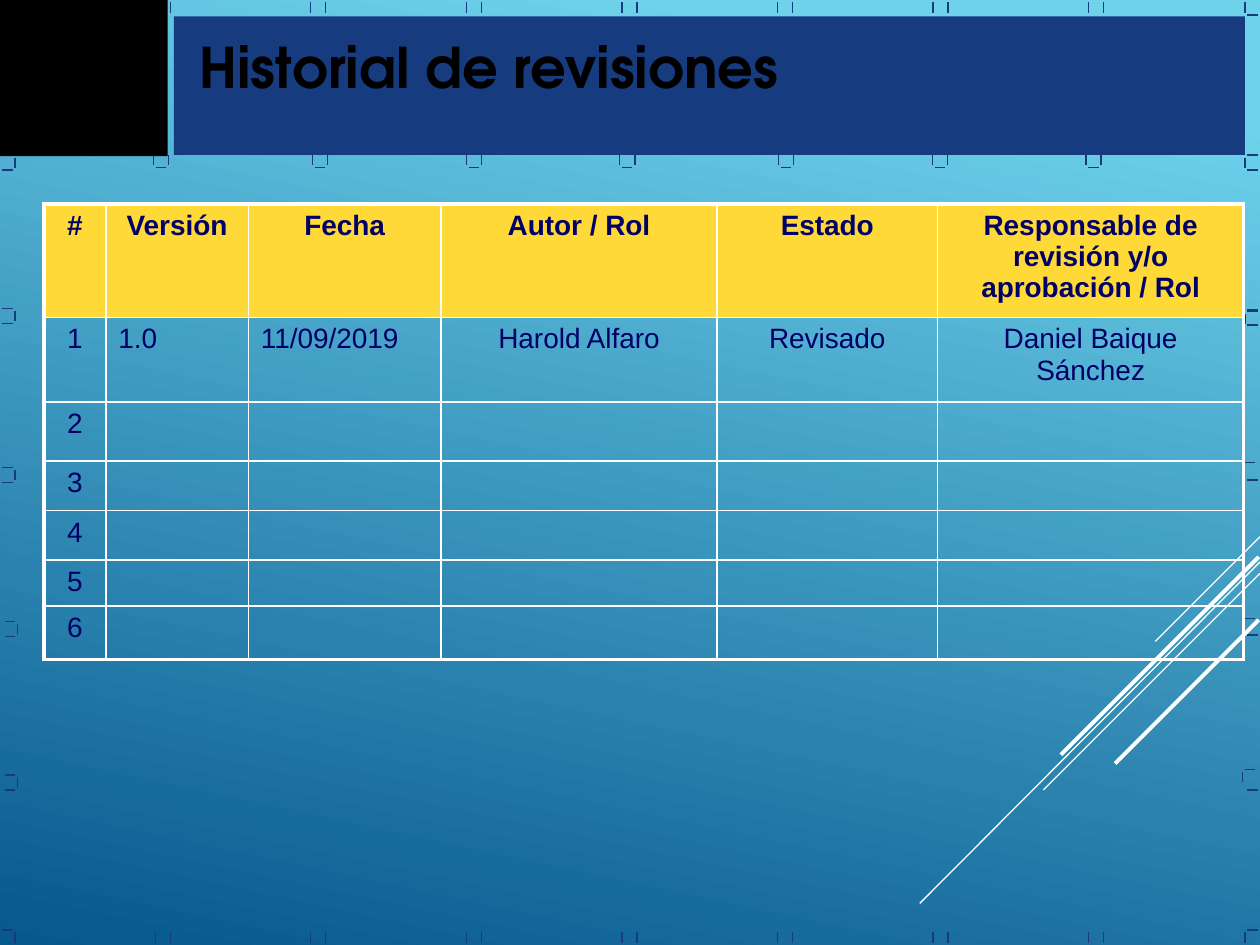
from typing import Iterator, NamedTuple

from lxml import etree
from pptx import Presentation
from pptx import util as u
from pptx.dml.color import RGBColor
from pptx.enum import shapes, text
from pptx.oxml import ns

Pt = u.Pt
NAVY = RGBColor(0x16, 0x3B, 0x7F)
INK = RGBColor(0x00, 0x00, 0x66)
GOLD = RGBColor(0xFF, 0xD9, 0x37)
WHITE = RGBColor(0xFF, 0xFF, 0xFF)
BLACK = RGBColor(0x00, 0x00, 0x00)
SKY = RGBColor(0x6E, 0xD2, 0xEB)
DEEP_BLUE = RGBColor(0x06, 0x58, 0x8E)

TICK = 5.8       # length of a border tick
GAP = 1.4        # space between a tick and the corner of its bracket
SPAN = 2 * GAP + TICK
TOP_Y, BOTTOM_Y = 1.4, 532.8
RIGHT_X = 711.4
FIRST_X, STEP_X = 88.7, 88.9


class Line(NamedTuple):
    x1: float
    y1: float
    x2: float
    y2: float
    color: RGBColor = NAVY
    width: float = 0.75


class Box(NamedTuple):
    left: float
    top: float
    width: float
    height: float
    color: RGBColor


class Column(NamedTuple):
    heading: str
    width: float
    entry: str
    align: text.PP_ALIGN = text.PP_ALIGN.CENTER


RAYS = [
    Line(720, 306.7, 660.2, 366.5, WHITE),
    Line(720, 321.1, 525.6, 516.2, WHITE),
    Line(720, 327.6, 596.2, 451.4, WHITE),
    Line(719.3, 318.2, 606.2, 431.3, WHITE, 2.25),
    Line(719.3, 354.2, 637.2, 436.3, WHITE, 2.25),
]
BANNER = Box(99.4, 9.4, 612, 79.2, NAVY)
CORNER = Box(0, -0.7, 95.8, 90, BLACK)

UNDER_BANNER_X = [87.8, 178.6, 266.4, 354.2, 445, 532.8, 620.6]
LEFT_BRACKETS = [(8.6, 88.6), (8.6, 176.4), (8.6, 267.1), (10.1, 355), (10.1, 442.8)]
RIGHT_BRACKETS = [(711.4, 88.6), (711.4, 177.8), (709.9, 264.2),
                  (709.9, 353.5), (709.9, 439.9)]
RIGHT_DASHES_Y = [8.6, 97.2, 177.1, 185.8, 274.3, 362.9, 451.4, 531.4]

COLUMNS = [
    Column("#", 35.3, "1"),
    Column("Versión", 81.4, "1.0", text.PP_ALIGN.LEFT),
    Column("Fecha", 110.2, "11/09/2019", text.PP_ALIGN.LEFT),
    Column("Autor / Rol", 157.7, "Harold Alfaro"),
    Column("Estado", 126, "Revisado"),
    Column("Responsable de revisión y/o aprobación / Rol", 175,
           "Daniel Baique Sánchez"),
]
ROW_HEIGHTS = [64.6, 48.4, 33.8, 28.3, 28.1, 26.5, 30.4]


def upright(x: float, y: float) -> Line:
    return Line(x, y + TICK, x, y)


def dash(x: float, y: float) -> Line:
    return Line(x, y, x + TICK, y)


def border_ticks() -> Iterator[Line]:
    """Yield the ticks and brackets along the slide edges and the banner."""
    for index in range(7):
        x = FIRST_X + STEP_X * index
        if index:
            yield upright(x, TOP_Y)
        yield upright(x + SPAN, TOP_Y)
        yield upright(x, BOTTOM_Y)
        yield upright(x + SPAN, BOTTOM_Y)
    for y in (TOP_Y, BOTTOM_Y):
        yield upright(RIGHT_X, y)
    for x in UNDER_BANNER_X:
        yield upright(x, 88.6)
        yield upright(x + SPAN, 88.6)
        yield dash(x + GAP, 95.8)
    for x, y in LEFT_BRACKETS:
        yield upright(x, y + GAP)
        yield dash(x - GAP - TICK, y)
        yield dash(x - GAP - TICK, y + SPAN)
    yield upright(8.6, BOTTOM_Y)
    yield dash(1.4, 531.4)
    for x, y in RIGHT_BRACKETS:
        yield upright(x, y + GAP)
        yield dash(x + GAP, y)
    for y in RIGHT_DASHES_Y:
        yield dash(RIGHT_X + GAP, y)


def draw_line(slide, line: Line) -> None:
    connector = slide.shapes.add_connector(
        shapes.MSO_CONNECTOR.STRAIGHT,
        Pt(line.x1), Pt(line.y1), Pt(line.x2), Pt(line.y2))
    connector.line.color.rgb = line.color
    connector.line.width = Pt(line.width)
    properties = connector.element.find(ns.qn("p:spPr"))
    etree.SubElement(properties, ns.qn("a:effectLst"))


def draw_box(slide, box: Box) -> None:
    shape = slide.shapes.add_shape(
        shapes.MSO_SHAPE.RECTANGLE,
        Pt(box.left), Pt(box.top), Pt(box.width), Pt(box.height))
    shape.shadow.inherit = False
    shape.fill.solid()
    shape.fill.fore_color.rgb = box.color
    shape.line.fill.background()


def paint_background(slide) -> None:
    fill = slide.background.fill
    fill.gradient()
    fill.gradient_angle = 258
    for stop, color, position in zip(fill.gradient_stops, (SKY, DEEP_BLUE), (0.1, 1)):
        stop.color.rgb = color
        stop.position = position


def set_borders(cell, widths: dict[str, float]) -> None:
    properties = cell._tc.get_or_add_tcPr()
    for side, width in widths.items():
        line = etree.SubElement(properties, ns.qn(f"a:ln{side}"), w=str(Pt(width)))
        fill = etree.SubElement(line, ns.qn("a:solidFill"))
        etree.SubElement(fill, ns.qn("a:srgbClr"), val=str(WHITE))


def format_cell(cell, content: str, align: text.PP_ALIGN, heading: bool) -> None:
    cell.text = content
    para = cell.text_frame.paragraphs[0]
    para.alignment = align
    para.font.name = "Arial"
    para.font.size = Pt(16)
    para.font.bold = heading
    para.font.color.rgb = INK
    if heading:
        cell.fill.solid()
        cell.fill.fore_color.rgb = GOLD
    else:
        cell.fill.background()


def draw_table(slide) -> None:
    last_row, last_column = len(ROW_HEIGHTS) - 1, len(COLUMNS) - 1
    table = slide.shapes.add_table(
        len(ROW_HEIGHTS), len(COLUMNS), Pt(25.2), Pt(116.6),
        Pt(sum(column.width for column in COLUMNS)), Pt(sum(ROW_HEIGHTS))).table
    table.first_row = table.horz_banding = False
    for row, height in enumerate(ROW_HEIGHTS):
        table.rows[row].height = Pt(height)
        for index, column in enumerate(COLUMNS):
            table.columns[index].width = Pt(column.width)
            outer = {"L": index == 0, "R": index == last_column,
                     "T": row == 0, "B": row == last_row}
            cell = table.cell(row, index)
            set_borders(cell, {side: 2.25 if edge else 1 for side, edge in outer.items()})
            if row == 0:
                format_cell(cell, column.heading, text.PP_ALIGN.CENTER, True)
            else:
                number = str(row) if index == 0 else ""
                content = column.entry if row == 1 else number
                format_cell(cell, content, column.align, False)


def place_title(slide) -> None:
    title = slide.shapes.title
    title.left, title.top, title.width, title.height = (
        Pt(106.6), Pt(15.1), Pt(355.7), Pt(45.4))
    frame = title.text_frame
    frame.text = "Historial de revisiones"
    frame.word_wrap = False
    frame.auto_size = text.MSO_AUTO_SIZE.SHAPE_TO_FIT_TEXT
    frame.vertical_anchor = text.MSO_ANCHOR.TOP
    para = frame.paragraphs[0]
    para.alignment = text.PP_ALIGN.LEFT
    para.font.name = "TeX Gyre Adventor"
    para.font.size = Pt(32)
    para.font.bold = True
    para.font.color.rgb = BLACK
    title.element.getparent().append(title.element)  # in front of the banner


def main() -> None:
    deck = Presentation()
    deck.slide_width, deck.slide_height = Pt(720), Pt(540)
    slide = deck.slides.add_slide(deck.slide_layouts.get_by_name("Title Only"))
    paint_background(slide)
    for line in [*RAYS, *border_ticks()]:
        draw_line(slide, line)
    for box in (BANNER, CORNER):
        draw_box(slide, box)
    place_title(slide)
    draw_table(slide)
    deck.save("out.pptx")


if __name__ == "__main__":
    main()
